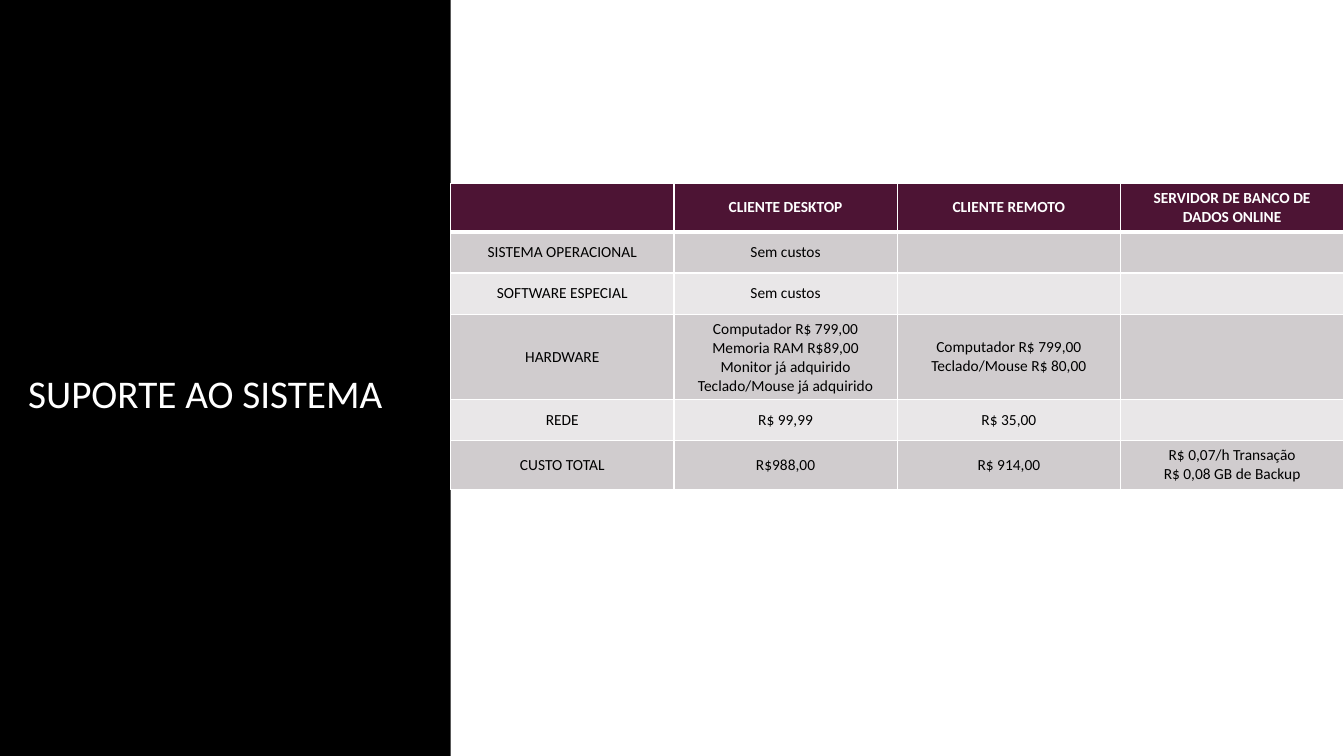
from dataclasses import dataclass

from lxml import etree
from pptx import Presentation
from pptx.dml.color import RGBColor
from pptx.enum.shapes import MSO_SHAPE
from pptx.enum.text import MSO_ANCHOR, PP_ALIGN
from pptx.oxml.ns import qn
from pptx.slide import Slide
from pptx.table import _Cell
from pptx.text.text import _Paragraph
from pptx.util import Pt

RECTANGLE = MSO_SHAPE.RECTANGLE
BOTTOM, MIDDLE = MSO_ANCHOR.BOTTOM, MSO_ANCHOR.MIDDLE
LEFT, CENTER = PP_ALIGN.LEFT, PP_ALIGN.CENTER

FONT = "Calibri"
COLORS = {
    "white": "FFFFFF",
    "black": "000000",
    "header": "4D1434",
    "odd": "D0CCCE",
    "even": "E9E7E8",
}
SLIDE_W, SLIDE_H = 960, 540
PANEL_W = 321.9
TABLE_TOP = 131


@dataclass
class CostRow:
    height: float
    cells: tuple[str, str, str, str]


COST_ROWS = [
    CostRow(34.5, ("", "CLIENTE DESKTOP", "CLIENTE REMOTO",
                   "SERVIDOR DE BANCO DE DADOS ONLINE")),
    CostRow(29.5, ("SISTEMA OPERACIONAL", "Sem custos", "", "")),
    CostRow(29.5, ("SOFTWARE ESPECIAL", "Sem custos", "", "")),
    CostRow(61, ("HARDWARE",
                 "Computador R$ 799,00\nMemoria RAM R$89,00\n"
                 "Monitor já adquirido\nTeclado/Mouse já adquirido",
                 "Computador R$ 799,00\nTeclado/Mouse R$ 80,00", "")),
    CostRow(29.5, ("REDE", "R$ 99,99", "R$ 35,00", "")),
    CostRow(34.5, ("CUSTO TOTAL", "R$988,00", "R$ 914,00",
                   "R$ 0,07/h Transação\nR$ 0,08 GB de Backup")),
]


def rgb(name: str) -> RGBColor:
    return RGBColor.from_string(COLORS[name])


def style_paragraph(p: _Paragraph, size: float, color: str,
                    align: PP_ALIGN, bold: bool = False) -> None:
    p.alignment = align
    p.font.name = FONT
    p.font.size = Pt(size)
    p.font.bold = bold
    p.font.color.rgb = rgb(color)


def set_borders(cell: _Cell, top: float, bottom: float) -> None:
    """Draw white cell borders, 1 pt at the sides; they must precede the fill."""
    tc_pr = cell._tc.get_or_add_tcPr()
    for side, width in (("L", 1), ("R", 1), ("T", top), ("B", bottom)):
        ln = etree.SubElement(tc_pr, qn(f"a:ln{side}"), w=str(Pt(width)))
        fill = etree.SubElement(ln, qn("a:solidFill"))
        etree.SubElement(fill, qn("a:srgbClr"), val=COLORS["white"])


def add_panel(s: Slide) -> None:
    sp = s.shapes.add_shape(RECTANGLE, 0, 0, Pt(PANEL_W), Pt(SLIDE_H))
    sp.shadow.inherit = False
    sp.fill.solid()
    sp.fill.fore_color.rgb = rgb("black")
    sp.line.fill.background()


def add_title(s: Slide) -> None:
    tf = s.shapes.add_textbox(Pt(13), Pt(238.3), Pt(296.6), Pt(62.6)).text_frame
    tf.word_wrap = True
    tf.vertical_anchor = BOTTOM
    p = tf.paragraphs[0]
    p.text = "SUPORTE AO SISTEMA"
    style_paragraph(p, 28, "white", LEFT)


def fill_cell(cell: _Cell, text: str, row: int) -> None:
    header = row == 0
    set_borders(cell, top=3 if row == 1 else 1, bottom=3 if header else 1)
    cell.fill.solid()
    cell.fill.fore_color.rgb = rgb("header" if header else "odd" if row % 2 else "even")
    cell.vertical_anchor = MIDDLE
    cell.text = text
    for p in cell.text_frame.paragraphs:
        style_paragraph(p, 11, "white" if header else "black", CENTER, header)


def add_cost_table(s: Slide) -> None:
    columns = len(COST_ROWS[0].cells)
    width = SLIDE_W - PANEL_W
    height = sum(row.height for row in COST_ROWS)
    table = s.shapes.add_table(len(COST_ROWS), columns, Pt(PANEL_W), Pt(TABLE_TOP),
                               Pt(width), Pt(height)).table
    for column in table.columns:
        column.width = Pt(width / columns)
    for r, row in enumerate(COST_ROWS):
        table.rows[r].height = Pt(row.height)
        for c, text in enumerate(row.cells):
            fill_cell(table.cell(r, c), text, r)


def main() -> None:
    prs = Presentation()
    prs.slide_width, prs.slide_height = Pt(SLIDE_W), Pt(SLIDE_H)
    s = prs.slides.add_slide(prs.slide_layouts[6])
    add_panel(s)
    add_title(s)
    add_cost_table(s)
    prs.save("out.pptx")


if __name__ == "__main__":
    main()
